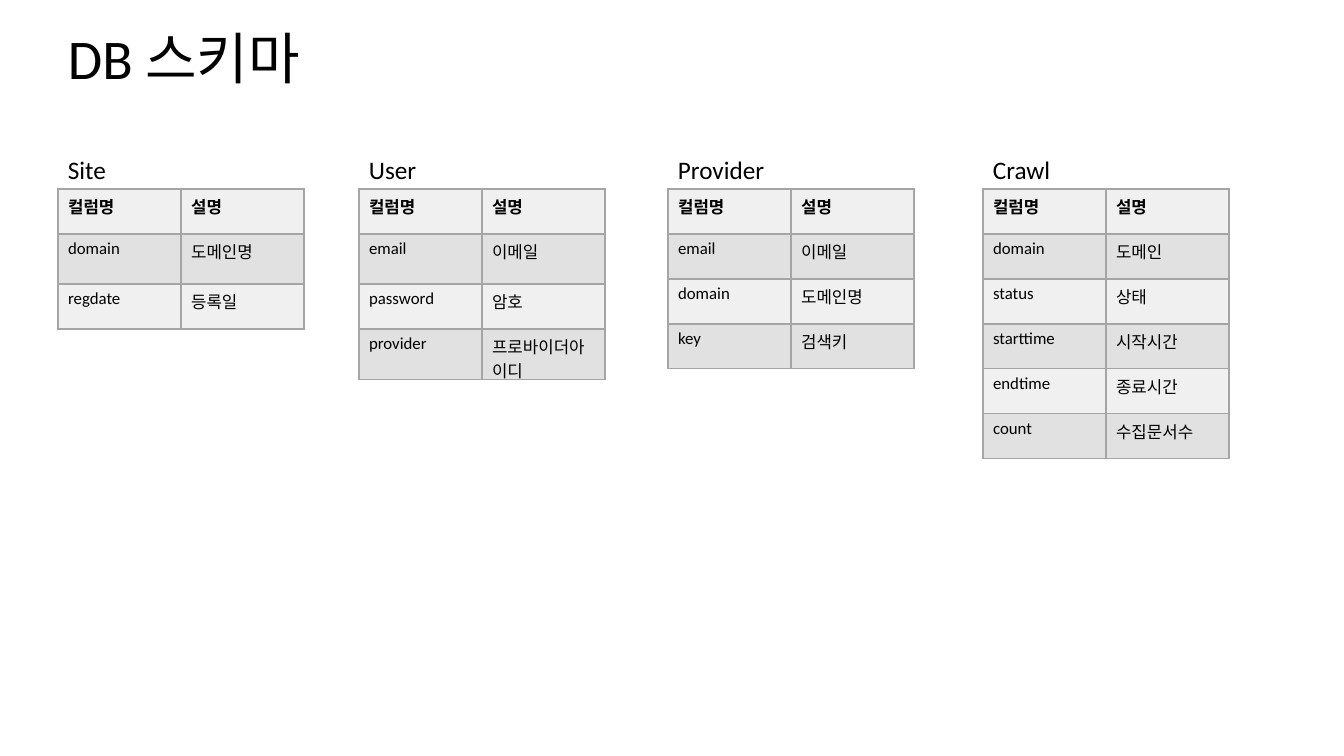
import pptx
import pptx.dml.color
import pptx.enum.text
import pptx.oxml
import pptx.oxml.ns
import pptx.util

PX = 914400 / 100.8
FONT = "Calibri"
HEADER = ("컬럼명", "설명")
BANDS = ("F0F0F0", "E1E1E1")
BORDER = "A5A5A5"
ROW_H, TALL_ROW_H, COL_W = 45, 50, 123
LABEL_Y, LABEL_H, TABLE_Y = 149, 40, 189

SCHEMAS = [
    ("Site", 58, 58, [("domain", "도메인명"), ("regdate", "등록일")], {1}),
    ("User", 359, 68, [("email", "이메일"), ("password", "암호"),
                       ("provider", "프로바이더아이디")], {1, 3}),
    ("Provider", 668, 108, [("email", "이메일"), ("domain", "도메인명"),
                            ("key", "검색키")], set()),
    ("Crawl", 983, 78, [("domain", "도메인"), ("status", "상태"),
                        ("starttime", "시작시간"), ("endtime", "종료시간"),
                        ("count", "수집문서수")], set()),
]


def px(n):
    """Convert pixels to EMU."""
    return pptx.util.Emu(round(n * PX))


def rgb(value):
    """Turn a hex string into a colour."""
    return pptx.dml.color.RGBColor.from_string(value)


def write(tf, text, size, bold=False):
    """Fill a text frame with one formatted paragraph."""
    tf.text = text
    p = tf.paragraphs[0]
    for r in p.runs:
        r.font.name = FONT
        r.font.size = pptx.util.Pt(size)
        r.font.bold = bold
        r.font.color.rgb = rgb("000000")
    return p


def add_title(s, text, x, y, w, h):
    """Place the slide title in its box."""
    tf = s.shapes.add_textbox(px(x), px(y), px(w), px(h)).text_frame
    tf.word_wrap = True
    tf.vertical_anchor = pptx.enum.text.MSO_ANCHOR.MIDDLE
    write(tf, text, 40).line_spacing = 0.9


def add_label(s, text, x, y, w, h):
    """Place the name of a table in its box."""
    tf = s.shapes.add_textbox(px(x), px(y), px(w), px(h)).text_frame
    tf.word_wrap = False
    tf.auto_size = pptx.enum.text.MSO_AUTO_SIZE.SHAPE_TO_FIT_TEXT
    write(tf, text, 18)


def set_borders(cell):
    """Draw a thin line on all four sides of a cell."""
    tcPr = cell._tc.get_or_add_tcPr()
    for i, side in enumerate("LRTB"):
        tcPr.insert(i, pptx.oxml.parse_xml(
            f'<a:ln{side} {pptx.oxml.ns.nsdecls("a")} w="12700"><a:solidFill>'
            f'<a:srgbClr val="{BORDER}"/></a:solidFill></a:ln{side}>'))


def add_schema_table(s, fields, tall_rows, x, y):
    """Place a banded table of columns and descriptions."""
    rows = [HEADER] + fields
    heights = [TALL_ROW_H if i in tall_rows else ROW_H for i in range(len(rows))]
    table = s.shapes.add_table(len(rows), len(HEADER), px(x), px(y),
                               px(COL_W * len(HEADER)), px(sum(heights))).table
    for column in table.columns:
        column.width = px(COL_W)
    for i, values in enumerate(rows):
        table.rows[i].height = px(heights[i])
        for j, value in enumerate(values):
            cell = table.cell(i, j)
            write(cell.text_frame, value, 12, bold=i == 0)
            cell.fill.solid()
            cell.fill.fore_color.rgb = rgb(BANDS[i % 2])
            set_borders(cell)


def main():
    """Build the schema slide."""
    prs = pptx.Presentation()
    prs.slide_width, prs.slide_height = px(1344), px(756)
    s = prs.slides.add_slide(prs.slide_layouts[6])
    add_title(s, "DB 스키마", 58, 28, 1232, 66)
    for name, x, label_w, fields, tall_rows in SCHEMAS:
        add_schema_table(s, fields, tall_rows, x, TABLE_Y)
        add_label(s, name, x, LABEL_Y, label_w, LABEL_H)
    prs.save("out.pptx")


if __name__ == "__main__":
    main()
